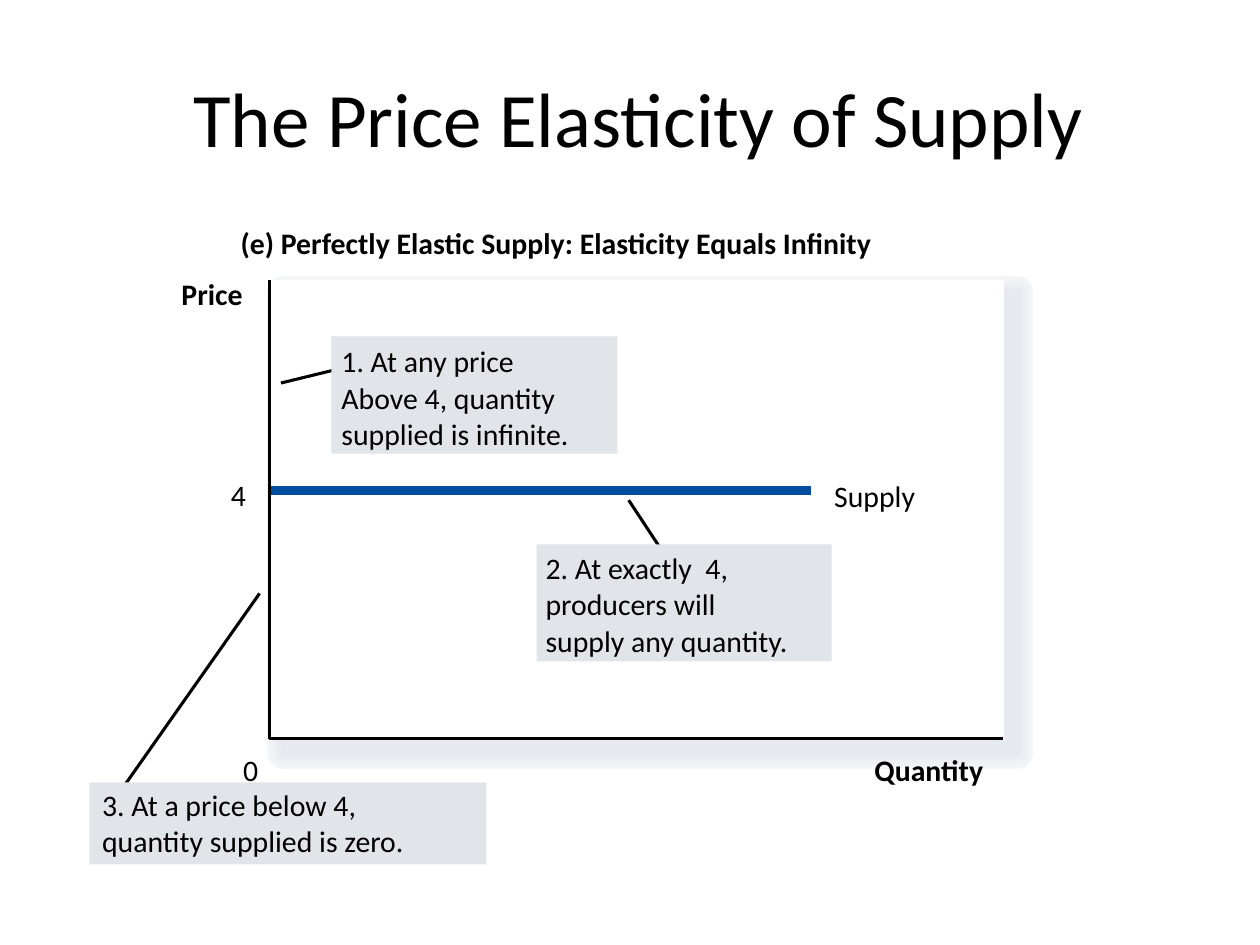
from pptx import Presentation
from pptx.dml.color import RGBColor
from pptx.enum.shapes import MSO_CONNECTOR, MSO_SHAPE
from pptx.enum.text import MSO_ANCHOR, MSO_AUTO_SIZE, PP_ALIGN
from pptx.oxml.ns import qn
from pptx.util import Inches, Pt
from lxml.etree import SubElement

INK = {"black": "000000", "white": "FFFFFF", "blue": "004C9F", "note": "E1E5E9"}
TITLE = " The Price Elasticity of Supply"
PLOT = (2.15, 2.22, 5.82, 3.65)
DROP = 0.1
SHADE = [
    ("F3F6F9", 18.75), ("F2F4F8", 17), ("F1F4F7", 15.38), ("F0F2F5", 13.63),
    ("EEF1F4", 11.88), ("EDEFF3", 10.25), ("EBEEF2", 8.5), ("EAECF1", 6.88),
    ("E9EBF0", 5.13), ("E7EAEF", 3.38), ("E6E9EF", 1.75),
]
AXES = [(2.14, 2.22), (2.14, 5.86), (7.96, 5.86)]
LABELS = [
    ("(e) Perfectly Elastic Supply: Elasticity Equals Infinity", 1.91, 1.78, 5.9, True),
    ("Quantity", 6.94, 5.97, 0.96, True),
    ("0", 1.93, 5.97, 0.13, False),
    ("Price", 1.44, 2.19, 0.58, True),
]
CURVE = ((6.44, 3.89), (2.15, 3.89))
MARKS = [(" 4", 1.78, 3.78, 0.2), ("Supply", 6.62, 3.79, 0.72)]
PITCH = 0.29
NOTES = [
    {"box": (0.71, 6.21, 3.15, 0.65), "line": ((0.97, 6.26), (2.06, 4.71)),
     "start": (0.81, 6.24),
     "rows": [("3. At a price below 4,", 2.22), ("quantity supplied is zero.", 2.61)]},
    {"box": (4.26, 4.32, 2.34, 0.93), "line": ((4.99, 3.97), (5.28, 4.41)),
     "start": (4.33, 4.36),
     "rows": [("2. At exactly  4,", 1.62), ("producers will", 1.44),
              ("supply any quantity.", 2.09)]},
    {"box": (2.63, 2.67, 2.27, 0.93), "line": ((2.23, 3.04), (2.68, 2.93)),
     "start": (2.71, 2.72),
     "rows": [("1. At any price", 1.51), ("Above 4, quantity", 1.85),
              ("supplied is infinite.", 1.93)]},
]


def color(name):
    return RGBColor.from_string(INK.get(name, name))


def write(para, text, size, bold=False):
    run = para.add_run()
    run.text = text
    run.font.name = "Calibri"
    run.font.size = Pt(size)
    run.font.bold = bold
    run.font.color.rgb = color("black")


def stroke(line, tone, width):
    line.color.rgb = color(tone)
    line.width = Pt(width)


def label(shapes, text, left, top, width, bold=False):
    box = shapes.add_textbox(Inches(left), Inches(top), Inches(width), Inches(0.28))
    frame = box.text_frame
    frame.margin_left = frame.margin_right = 0
    frame.margin_top = frame.margin_bottom = 0
    frame.word_wrap = False
    frame.auto_size = MSO_AUTO_SIZE.SHAPE_TO_FIT_TEXT
    write(frame.paragraphs[0], text, 17, bold)


def panel(shapes, box, tone, edge=0):
    rect = shapes.add_shape(MSO_SHAPE.RECTANGLE, *map(Inches, box))
    rect.shadow.inherit = False
    rect.fill.solid()
    rect.fill.fore_color.rgb = color(tone)
    if edge:
        stroke(rect.line, tone, edge)
    else:
        rect.line.fill.background()


def link(shapes, ends, tone, width):
    start, end = ends
    line = shapes.add_connector(MSO_CONNECTOR.STRAIGHT, *map(Inches, start + end))
    stroke(line.line, tone, width)
    SubElement(line._element.spPr, qn("a:effectLst"))


def main():
    deck = Presentation()
    deck.slide_width, deck.slide_height = Inches(10), Inches(7.5)
    slide = deck.slides.add_slide(deck.slide_layouts[5])
    shapes = slide.shapes

    head = shapes.title
    head.left, head.top = Inches(0.5), Inches(0.3)
    head.width, head.height = Inches(9), Inches(1.25)
    head.text_frame.vertical_anchor = MSO_ANCHOR.MIDDLE
    para = head.text_frame.paragraphs[0]
    para.alignment = PP_ALIGN.CENTER
    write(para, TITLE, 44)

    left, top, width, height = PLOT
    for tone, edge in SHADE:
        panel(shapes, (left + DROP, top + DROP, width, height), tone, edge)
    panel(shapes, PLOT, "white")

    first, *rest = [(Inches(x), Inches(y)) for x, y in AXES]
    path = shapes.build_freeform(*first)
    path.add_line_segments(rest, close=False)
    axes = path.convert_to_shape()
    axes.shadow.inherit = False
    axes.fill.background()
    stroke(axes.line, "black", 1.75)

    for item in LABELS:
        label(shapes, *item)

    group = shapes.add_group_shape().shapes
    link(group, CURVE, "blue", 5.13)
    for item in MARKS:
        label(group, *item)

    for note in NOTES:
        group = shapes.add_group_shape().shapes
        link(group, note["line"], "black", 1.75)
        panel(group, note["box"], "note")
        left, top = note["start"]
        for i, (text, width) in enumerate(note["rows"]):
            label(group, text, left, top + i * PITCH, width)

    deck.save("out.pptx")


if __name__ == "__main__":
    main()
